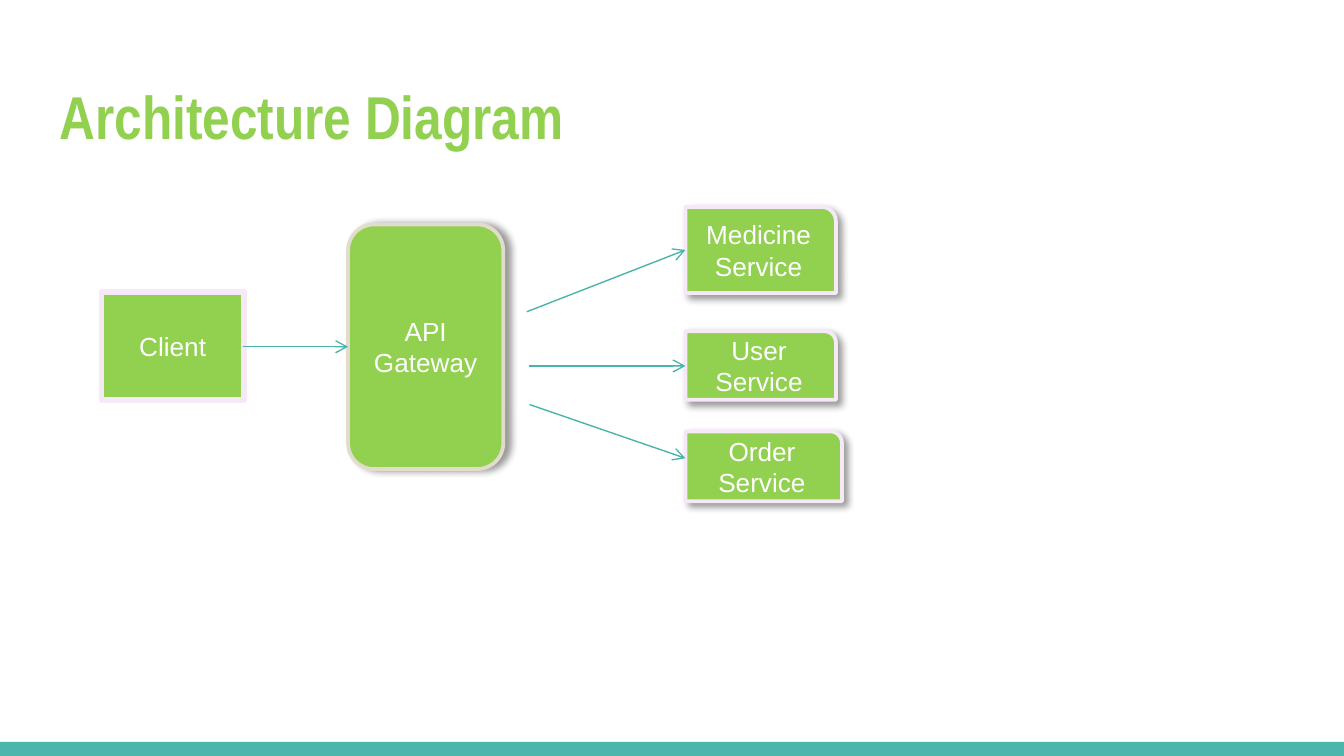
from lxml import etree
from pptx import Presentation
from pptx.dml.color import RGBColor
from pptx.enum.shapes import MSO_CONNECTOR, MSO_SHAPE
from pptx.enum.text import MSO_ANCHOR, PP_ALIGN
from pptx.oxml import parse_xml
from pptx.oxml.ns import nsdecls, qn
from pptx.util import Inches, Pt

RECT = MSO_SHAPE.RECTANGLE
PROCESS = MSO_SHAPE.FLOWCHART_PROCESS
ROUND = MSO_SHAPE.ROUNDED_RECTANGLE
CORNER = MSO_SHAPE.ROUND_1_RECTANGLE
STRAIGHT = MSO_CONNECTOR.STRAIGHT
MIDDLE = MSO_ANCHOR.MIDDLE
CENTER = PP_ALIGN.CENTER

GREEN = RGBColor(0x92, 0xD0, 0x50)
TEAL = RGBColor(0x4D, 0xB6, 0xAC)
ARROW = RGBColor(0x49, 0xB5, 0xAA)
LILAC = RGBColor(0xF5, 0xE9, 0xF7)
SAND = RGBColor(0xE1, 0xDC, 0xCB)
WHITE = RGBColor(0xFF, 0xFF, 0xFF)

deck = Presentation()
deck.slide_width = Inches(10)
deck.slide_height = deck.slide_width * 9 // 16
slide = deck.slides.add_slide(deck.slide_layouts[6])
shapes = slide.shapes
UNIT = deck.slide_width / 100  # the grid has 100 columns of square cells


def grid(*cells):
    return [round(cell * UNIT) for cell in cells]


def cast_shadow(shape, angle):
    """Add a soft black outer shadow that falls at the angle in degrees."""
    shape._element.spPr.append(parse_xml(
        f'<a:effectLst {nsdecls("a")}>'
        f'<a:outerShdw blurRad="{Pt(4)}" dist="{Pt(3)}" dir="{angle * 60000}"'
        ' algn="tl" rotWithShape="0"><a:srgbClr val="000000">'
        '<a:alpha val="40000"/></a:srgbClr></a:outerShdw></a:effectLst>'))


# Footer band
band = shapes.add_shape(RECT, *grid(0, 55.2, 100, 1.05))
band.shadow.inherit = False
band.fill.solid()
band.fill.fore_color.rgb = TEAL
band.line.fill.background()

# Title
title = shapes.add_textbox(*grid(3.45, 4.75, 93.2, 7.7))
frame = title.text_frame
frame.word_wrap = True
frame.vertical_anchor = MIDDLE
frame.margin_left = frame.margin_right = Inches(0.1)
frame.margin_top = frame.margin_bottom = Inches(0.1)
frame.text = "Architecture Diagram"
font = frame.paragraphs[0].font
font.name, font.size, font.bold = "Arial Narrow", Pt(32.4), True
font.color.rgb = GREEN

# Boxes: label, preset, cells, edge colour, edge width, shadow angle
boxes = [
    ("Client", PROCESS, (7.55, 21.75, 10.6, 8), LILAC, 3, None),
    ("API\nGateway", ROUND, (25.9, 16.7, 11.55, 18.2), SAND, 2, 0),
    ("Medicine\nService", CORNER, (51, 15.4, 11.2, 6.4), LILAC, 2, 45),
    ("User\nService", CORNER, (51, 24.65, 11.2, 5.1), LILAC, 2, 45),
    ("Order\nService", CORNER, (51, 32.1, 11.65, 5.2), LILAC, 2, 45),
]
for label, preset, cells, edge, width, angle in boxes:
    box = shapes.add_shape(preset, *grid(*cells))
    box.fill.solid()
    box.fill.fore_color.rgb = GREEN
    box.line.color.rgb = edge
    box.line.width = Pt(width)
    if angle is None:
        box.shadow.inherit = False
    else:
        cast_shadow(box, angle)
    frame = box.text_frame
    frame.word_wrap = True
    frame.vertical_anchor = MIDDLE
    frame.text = label
    for para in frame.paragraphs:
        para.alignment = CENTER
        para.font.name, para.font.size = "Arial", Pt(14)
        para.font.color.rgb = WHITE

# Arrows: client to gateway, then gateway to each service
arrows = [
    (18.1, 25.8, 25.9, 25.8),
    (39.2, 23.2, 51, 18.6),
    (39.35, 27.23, 51, 27.23),
    (39.4, 30.1, 51, 34.1),
]
for ends in arrows:
    arrow = shapes.add_connector(STRAIGHT, *grid(*ends))
    arrow.line.color.rgb = ARROW
    arrow.line.width = Pt(0.75)
    props = arrow._element.spPr
    etree.SubElement(props.find(qn("a:ln")), qn("a:tailEnd"), type="arrow")
    etree.SubElement(props, qn("a:effectLst"))

deck.save("out.pptx")
